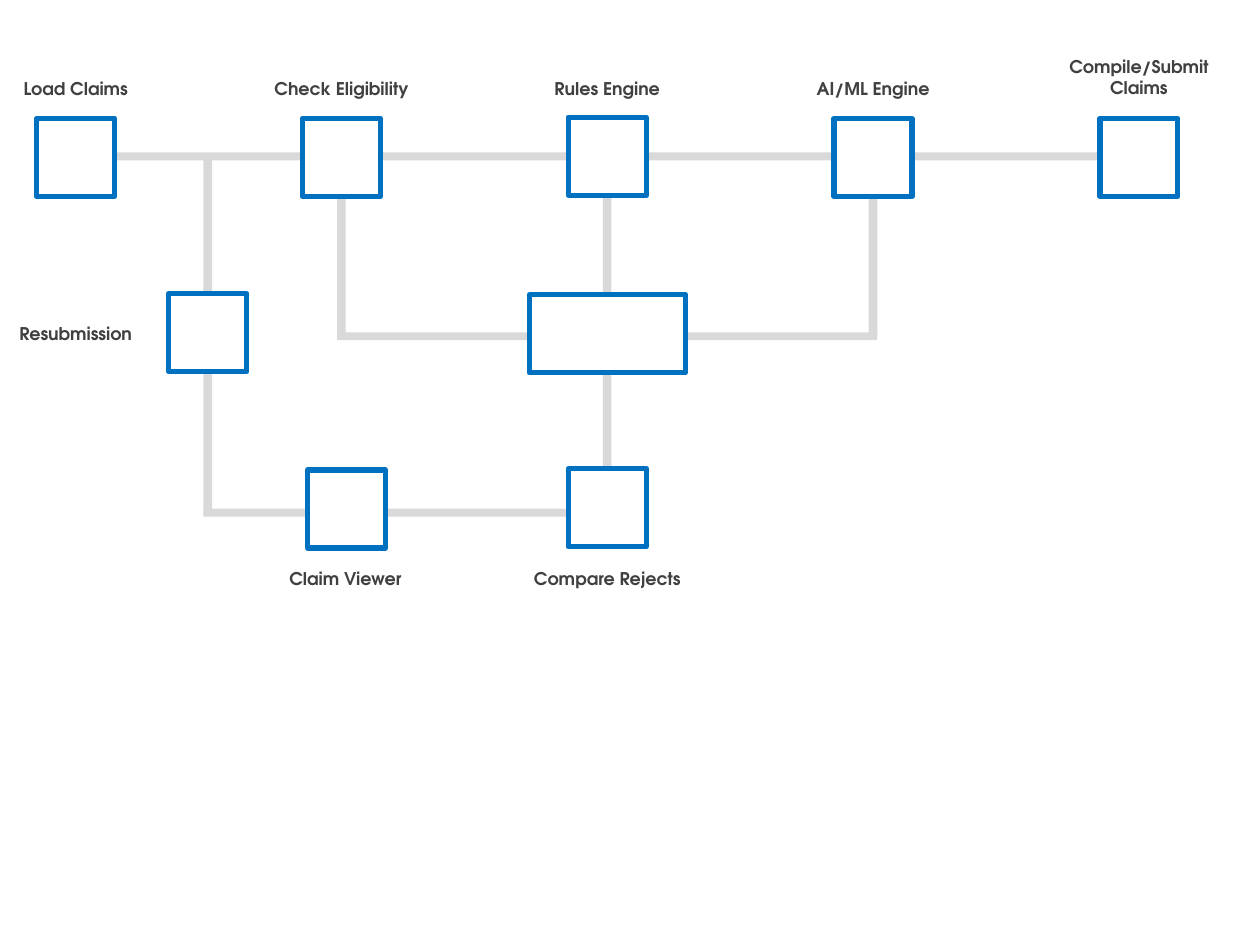
from dataclasses import dataclass
from pptx import Presentation
from pptx.dml.color import RGBColor
from pptx.enum.shapes import MSO_SHAPE
from pptx.enum.text import MSO_ANCHOR, MSO_AUTO_SIZE, PP_ALIGN
from pptx.util import Pt


@dataclass(frozen=True)
class Theme:
    """Colours, type and line sizes of the slide."""
    edge: str = "0070C0"
    face: str = "FFFFFF"
    rail: str = "D9D9D9"
    ink: str = "404040"
    font: str = "TeX Gyre Adventor"
    size: float = 10
    line: float = 3


LOOK = Theme()
SIDE, PITCH = 44.6, 151.9
FLAT, TALL = 4.6, 5


def style(item, **form):
    """Set each attribute in the format values."""
    for name, value in form.items():
        setattr(item, name, value)


def rect(slide, mid, size, fill, edge=None):
    """Add a rectangle around a middle point."""
    (x, y), (w, h) = mid, size
    shape = slide.shapes.add_shape(
        MSO_SHAPE.RECTANGLE, Pt(x - w / 2), Pt(y - h / 2), Pt(w), Pt(h))
    shape.shadow.inherit = False
    shape.fill.solid()
    shape.fill.fore_color.rgb = RGBColor.from_string(fill)
    if edge:
        shape.line.color.rgb = RGBColor.from_string(edge)
        shape.line.width = Pt(LOOK.line)
    else:
        shape.line.fill.background()


def rail(slide, start, end):
    """Add a grey bar, flat or upright, between two points."""
    (x1, y1), (x2, y2) = start, end
    size = (x2 - x1, FLAT) if y1 == y2 else (TALL, y2 - y1)
    rect(slide, ((x1 + x2) / 2, (y1 + y2) / 2), size, LOOK.rail)


def label(slide, text, mid, wide, high=19.4, wrap=False):
    """Add a centred bold label around a middle point."""
    x, y = mid
    box = slide.shapes.add_textbox(
        Pt(x - wide / 2), Pt(y - high / 2), Pt(wide), Pt(high))
    frame = box.text_frame
    style(frame, word_wrap=wrap, auto_size=MSO_AUTO_SIZE.SHAPE_TO_FIT_TEXT,
          vertical_anchor=MSO_ANCHOR.TOP)
    para = frame.paragraphs[0]
    para.alignment = PP_ALIGN.CENTER
    run = para.add_run()
    run.text = text
    style(run.font, name=LOOK.font, size=Pt(LOOK.size), bold=True)
    run.font.color.rgb = RGBColor.from_string(LOOK.ink)


def flow(slide, left, top):
    """Draw the claims flow from the corner of its box."""
    def at(x, y):
        """Give a point of the flow on the slide."""
        return left + x, top + y

    cols = [39.6 + PITCH * i for i in range(5)]
    load, check, rules, engine, submit = cols
    back, view = 115.2, 194.4
    main, hub, low = 60.8, 163.6, 264.4
    rails = [
        ((load, main), (submit, main)),
        ((back, main), (back, low + 1.8)),
        ((back - 2.4, low), (rules, low)),
        ((check, main), (check, hub)),
        ((rules, main), (rules, low)),
        ((engine, main), (engine, hub)),
        ((check - 2.4, hub), (engine + 2.4, hub)),
    ]
    for start, end in rails:
        rail(slide, at(*start), at(*end))

    nodes = [(x, 60.7 if x == rules else 61.4) for x in cols]
    nodes += [(back, 161.5), (view, 262.3), (rules, 261.5)]
    for node in nodes:
        rect(slide, at(*node), (SIDE, SIDE), LOOK.face, LOOK.edge)
    rect(slide, at(rules, 162.2), (2 * SIDE, SIDE), LOOK.face, LOOK.edge)

    names = [
        ("Load Claims", load, 22.2, 77.8),
        ("Check Eligibility", check, 22.2, 90.7),
        ("Rules Engine", rules, 21.9, 77),
        ("AI/ML Engine", engine, 22.2, 83.5),
        ("Resubmission", load, 161.9, 80.6),
        ("Claim Viewer", view - 0.7, 302.2, 80.6),
        ("Compare Rejects", rules, 302.2, 101.5),
    ]
    for text, x, y, wide in names:
        label(slide, text, at(x, y), wide)
    label(slide, "Compile/Submit Claims", at(submit, 16), 97.2, 31.7, True)


def main():
    """Build and save the deck."""
    deck = Presentation()
    style(deck, slide_width=Pt(720), slide_height=Pt(540))
    flow(deck.slides.add_slide(deck.slide_layouts[6]), 3.6, 28.6)
    deck.save("out.pptx")


main()
